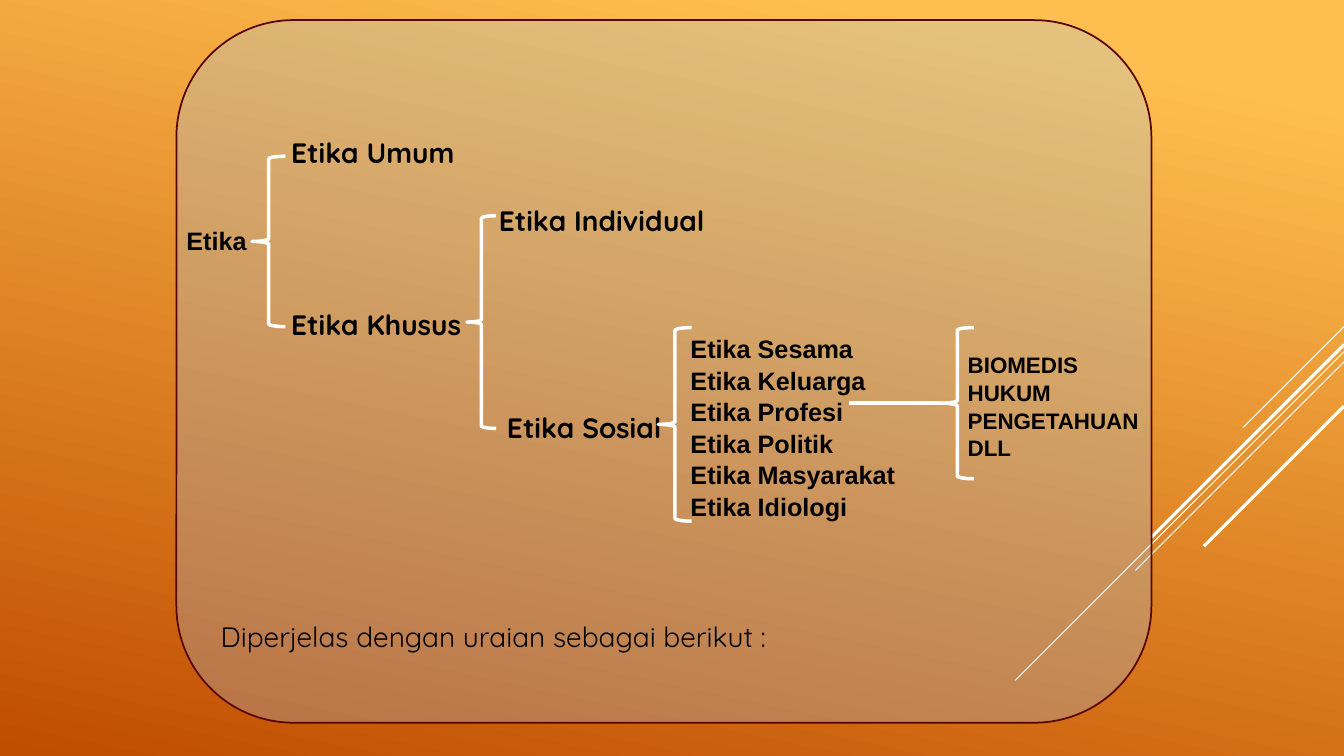
import collections
import pptx
import pptx.dml.color
import pptx.enum.shapes
import pptx.enum.text
import pptx.oxml
import pptx.util

Inches = pptx.util.Inches
Pt = pptx.util.Pt
RGBColor = pptx.dml.color.RGBColor
SHAPE = pptx.enum.shapes.MSO_SHAPE
ANCHOR = pptx.enum.text.MSO_ANCHOR
ALIGN = pptx.enum.text.PP_ALIGN

AMBER = RGBColor(0xFF, 0xBF, 0x50)
RUST = RGBColor(0xC0, 0x4D, 0x00)
WHITE = RGBColor(0xFF, 0xFF, 0xFF)
BLACK = RGBColor(0x00, 0x00, 0x00)
SKY = RGBColor(0x99, 0xCC, 0xFF)
MAROON = RGBColor(0x57, 0x04, 0x02)
NS = 'xmlns:a="http://schemas.openxmlformats.org/drawingml/2006/main"'

Box = collections.namedtuple("Box", "left top width height")

HEAD = {"name": "Quicksand", "size": Pt(20), "bold": True}
LIST = {"name": "Arial", "size": Pt(18), "bold": True}
SMALL = {**LIST, "size": Pt(16)}

TERMS = [
    ("Etika Umum", 0.7, 0, HEAD),
    ("Etika Individual", 2.76, 25, HEAD),
    ("Etika Khusus", 0.7, 50, HEAD),
    ("Etika Sosial", 2.84, 50, HEAD),
    ("Diperjelas dengan uraian sebagai berikut :", 0, 125, {**HEAD, "bold": False}),
]
RAYS = [(0, 1, 0.75), (0.25, 3.26, 0.75), (0.35, 2.07, 0.75),
        (0.18, 1.91, 2.25), (0.79, 1.39, 2.25)]
BRACES = [
    Box(2.5, 1.55, 0.33, 1.69),
    Box(4.63, 2.14, 0.29, 2.11),
    Box(6.53, 3.25, 0.33, 1.92),
    Box(9.33, 3.25, 0.33, 1.5),
]
LISTS = [
    (Box(6.75, 3.25, 2.92, 1.92), LIST,
     ["Etika Sesama", "Etika Keluarga", "Etika Profesi",
      "Etika Politik", "Etika Masyarakat", "Etika Idiologi"]),
    (Box(9.5, 3.42, 2.33, 1.18), SMALL,
     ["BIOMEDIS", "HUKUM", "PENGETAHUAN", "DLL"]),
    (Box(1.75, 2.17, 0.92, 0.4), LIST, ["Etika"]),
]


def place(box):
    return [Inches(side) for side in box]


def style(target, form):
    for key, value in form.items():
        setattr(target, key, value)


def ink(shape, color, weight):
    shape.line.color.rgb = color
    shape.line.width = Pt(weight)


def write(frame, index, text, form):
    para = frame.paragraphs[0] if index == 0 else frame.add_paragraph()
    para.text = text
    para.alignment = ALIGN.LEFT
    style(para.font, form)
    para.font.color.rgb = BLACK
    return para


def draw_line(slide, start, end, weight):
    points = [Inches(n) for n in (*start, *end)]
    line = slide.shapes.add_connector(
        pptx.enum.shapes.MSO_CONNECTOR.STRAIGHT, *points)
    ink(line, WHITE, weight)
    line._element.spPr.append(pptx.oxml.parse_xml(f"<a:effectLst {NS}/>"))


def draw_rays(slide, box):
    right = box.left + box.width
    for drop, reach, weight in RAYS:
        top = box.top + drop
        draw_line(slide, (right, top), (right - reach, top + reach), weight)


def draw_panel(slide, box):
    panel = slide.shapes.add_shape(SHAPE.ROUNDED_RECTANGLE, *place(box))
    panel.shadow.inherit = False
    panel.fill.solid()
    panel.fill.fore_color.rgb = SKY
    tint = panel._element.spPr.find(".//{*}solidFill/{*}srgbClr")
    tint.append(pptx.oxml.parse_xml(f'<a:alpha {NS} val="26000"/>'))
    ink(panel, MAROON, 1.25)
    frame = panel.text_frame
    style(frame, {"word_wrap": True, "vertical_anchor": ANCHOR.TOP,
                  "margin_top": Inches(0.8)})
    for index, (text, indent, gap, form) in enumerate(TERMS):
        para = write(frame, index, text, form)
        para._p.get_or_add_pPr().set("marL", str(Inches(indent)))
        if gap:
            para.space_before = Pt(gap)


def draw_brace(slide, box):
    brace = slide.shapes.add_shape(SHAPE.LEFT_BRACE, *place(box))
    brace.shadow.inherit = False
    brace.fill.background()
    ink(brace, WHITE, 2.5)


def draw_list(slide, box, form, items):
    frame = slide.shapes.add_textbox(*place(box)).text_frame
    frame.word_wrap = True
    for index, text in enumerate(items):
        write(frame, index, text, form).line_spacing = 1.04


def paint(slide):
    fill = slide.background.fill
    fill.gradient()
    fill.gradient_angle = 258
    for stop, spot, color in zip(fill.gradient_stops, (0.1, 1), (AMBER, RUST)):
        stop.position = spot
        stop.color.rgb = color


def main():
    deck = pptx.Presentation()
    style(deck, {"slide_width": Inches(13.33), "slide_height": Inches(7.5)})
    slide = deck.slides.add_slide(deck.slide_layouts[6])
    paint(slide)
    draw_rays(slide, Box(10.07, 3.24, 3.26, 3.51))
    draw_panel(slide, Box(1.75, 0.2, 9.67, 6.97))
    for box in BRACES:
        draw_brace(slide, box)
    last = BRACES[-1]
    mid = last.top + last.height / 2
    draw_line(slide, (8.42, mid), (last.left, mid), 2.5)
    for box, form, items in LISTS:
        draw_list(slide, box, form, items)
    deck.save("out.pptx")


if __name__ == "__main__":
    main()
